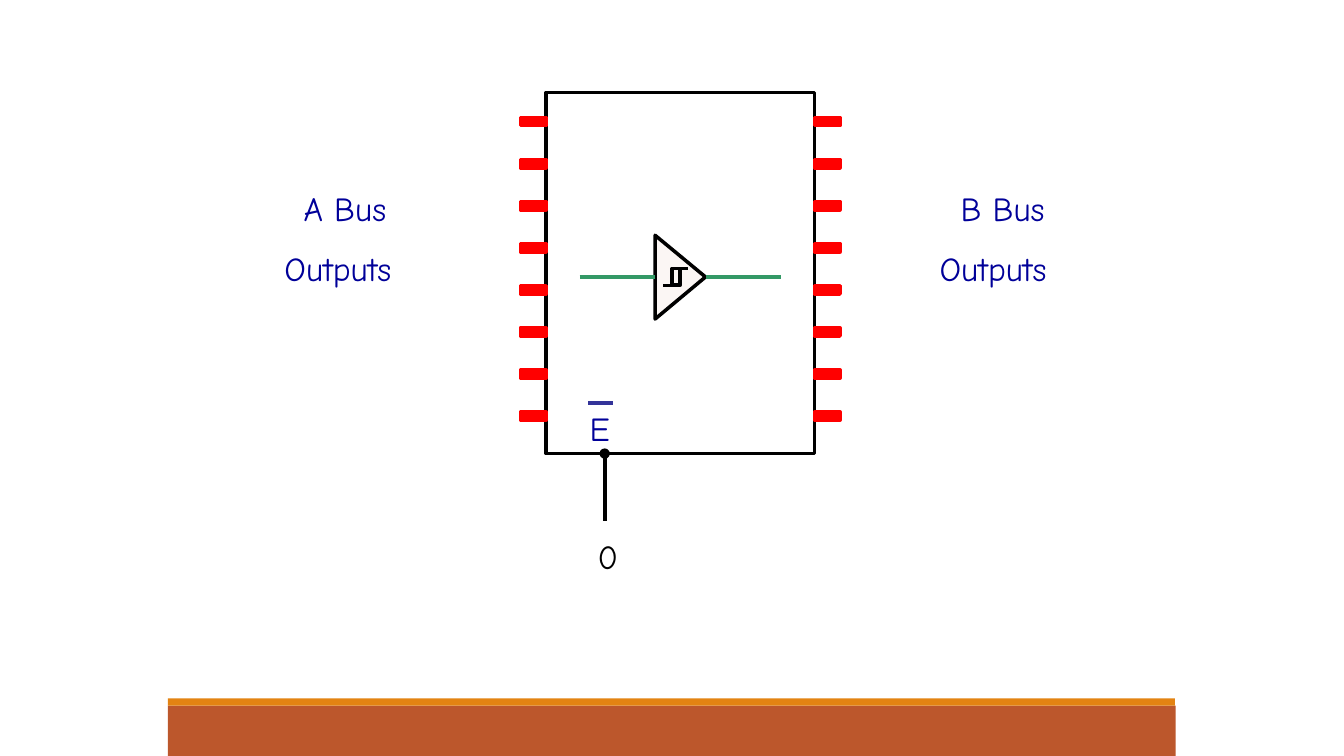
from typing import NamedTuple, Optional

from lxml.etree import SubElement
from pptx import Presentation
from pptx.dml.color import RGBColor
from pptx.enum.shapes import MSO_CONNECTOR as Connector, MSO_SHAPE as Preset
from pptx.oxml.ns import qn
from pptx.util import Cm, Pt

BLACK = RGBColor(0x00, 0x00, 0x00)
RED = RGBColor(0xFF, 0x00, 0x00)
GREEN = RGBColor(0x33, 0x99, 0x66)
INDIGO = RGBColor(0x33, 0x33, 0x99)
NAVY = RGBColor(0x00, 0x00, 0x99)
RUST = RGBColor(0xBC, 0x57, 0x2C)
ORANGE = RGBColor(0xE3, 0x83, 0x12)

FONT = "Comic Neue"
TEXT_SIZE = 24
STROKE = 2.52
PIN_STROKE = 6

PIN_COUNT = 8
PIN_TOP, PIN_PITCH = 2.96, 1.06
PIN_WIDTH, PIN_HEIGHT = 0.64, 0.21
PIN_COLUMNS = (13.12, 20.53)


class Box(NamedTuple):
    left: float
    top: float
    width: float
    height: float
    fill: Optional[RGBColor] = None
    line: Optional[RGBColor] = None
    preset: Preset = Preset.RECTANGLE


class Wire(NamedTuple):
    x1: float
    y1: float
    x2: float
    y2: float
    color: RGBColor
    width: float = STROKE


class Label(NamedTuple):
    text: str
    left: float
    first_indent: float


FOOTER = (
    Box(4.23, 17.78, 25.4, 1.27, fill=RUST),
    Box(4.23, 17.6, 25.38, 0.18, fill=ORANGE),
)
CHIP_BODY = Box(13.76, 2.33, 6.77, 9.1, line=BLACK)
BUFFER_TRIANGLE = ((16.51, 5.93), (16.51, 8.04), (17.78, 6.98))
HYSTERESIS_LOOP = Box(16.93, 6.77, 0.21, 0.42, line=BLACK)
ENABLE_DOT = Box(15.11, 11.3, 0.26, 0.26, fill=BLACK, preset=Preset.OVAL)

WIRES = (
    Wire(15.24, 11.43, 15.24, 13.13, BLACK),  # enable lead
    Wire(14.82, 10.16, 15.45, 10.16, INDIGO),  # bar over E
    Wire(17.78, 6.98, 19.69, 6.98, GREEN),  # buffer output
    Wire(14.61, 6.98, 16.51, 6.98, GREEN),  # buffer input
    Wire(17.14, 6.77, 17.35, 6.77, BLACK),  # hysteresis upper tail
    Wire(16.93, 7.19, 16.72, 7.19, BLACK),  # hysteresis lower tail
)
BUS_LABELS = (
    Label("A Bus Outputs", 7.14, 0.48),
    Label("B Bus Outputs", 23.65, 0.53),
)


def style_shape(shape, fill: Optional[RGBColor], line: Optional[RGBColor]) -> None:
    shape.shadow.inherit = False
    if fill is None:
        shape.fill.background()
    else:
        shape.fill.solid()
        shape.fill.fore_color.rgb = fill
    if line is None:
        shape.line.fill.background()
    else:
        shape.line.color.rgb = line
        shape.line.width = Pt(STROKE)


def draw_box(slide, box: Box) -> None:
    shape = slide.shapes.add_shape(
        box.preset, Cm(box.left), Cm(box.top), Cm(box.width), Cm(box.height))
    style_shape(shape, box.fill, box.line)


def draw_wire(slide, wire: Wire) -> None:
    connector = slide.shapes.add_connector(
        Connector.STRAIGHT, Cm(wire.x1), Cm(wire.y1), Cm(wire.x2), Cm(wire.y2))
    connector.line.color.rgb = wire.color
    connector.line.width = Pt(wire.width)
    SubElement(connector.element.spPr, qn("a:effectLst"))


def draw_buffer(slide) -> None:
    start, *others = [(Cm(x), Cm(y)) for x, y in BUFFER_TRIANGLE]
    builder = slide.shapes.build_freeform(*start)
    builder.add_line_segments(others, close=True)
    triangle = builder.convert_to_shape()
    style_shape(triangle, RUST, BLACK)
    color = triangle.element.spPr.find(qn("a:solidFill")).find(qn("a:srgbClr"))
    SubElement(color, qn("a:alpha"), val="5000")


def draw_pin(slide, left: float, top: float) -> None:
    middle = round(top + PIN_HEIGHT / 2, 2)
    draw_wire(slide, Wire(left, middle, left + PIN_WIDTH, middle, RED, PIN_STROKE))
    draw_box(slide, Box(left, top, PIN_WIDTH, PIN_HEIGHT, line=RED))


def add_text_frame(slide, left: float, top: float, width: float, height: float):
    frame = slide.shapes.add_textbox(
        Cm(left), Cm(top), Cm(width), Cm(height)).text_frame
    frame.word_wrap = True
    frame.margin_left = frame.margin_right = frame.margin_bottom = 0
    frame.margin_top = Cm(0.03)
    return frame


def write_text(paragraph, text: str, *, color: RGBColor, margin: float = 0,
               first_indent: float = 0, line_spacing: float = 1,
               space_before: float = 0) -> None:
    properties = paragraph._p.get_or_add_pPr()
    properties.set("marL", str(Cm(margin)))
    properties.set("indent", str(Cm(first_indent)))
    paragraph.line_spacing = line_spacing
    if space_before:
        paragraph.space_before = Pt(space_before)
    run = paragraph.add_run()
    run.text = text
    run.font.name = FONT
    run.font.size = Pt(TEXT_SIZE)
    run.font.color.rgb = color


def main() -> None:
    presentation = Presentation()
    presentation.slide_width, presentation.slide_height = Cm(33.87), Cm(19.05)
    slide = presentation.slides.add_slide(presentation.slide_layouts[6])

    # Footer bands
    for band in FOOTER:
        draw_box(slide, band)

    # Chip with its Schmitt-trigger buffer and enable input
    draw_box(slide, CHIP_BODY)
    draw_buffer(slide)
    draw_box(slide, HYSTERESIS_LOOP)
    draw_box(slide, ENABLE_DOT)
    for wire in WIRES:
        draw_wire(slide, wire)

    # Pins on both sides
    for left in PIN_COLUMNS:
        for index in range(PIN_COUNT):
            draw_pin(slide, left, PIN_TOP + index * PIN_PITCH)

    # Bus labels
    for label in BUS_LABELS:
        frame = add_text_frame(slide, label.left, 4.19, 3.28, 2.95)
        write_text(frame.paragraphs[0], label.text, color=NAVY, margin=0.03,
                   first_indent=label.first_indent, line_spacing=1.5)

    # Enable label and its logic level
    frame = add_text_frame(slide, 14.86, 10.24, 0.76, 4.32)
    write_text(frame.paragraphs[0], "E", color=NAVY)
    write_text(frame.add_paragraph(), "0", color=BLACK, margin=0.2, space_before=63)

    presentation.save("out.pptx")


if __name__ == "__main__":
    main()
